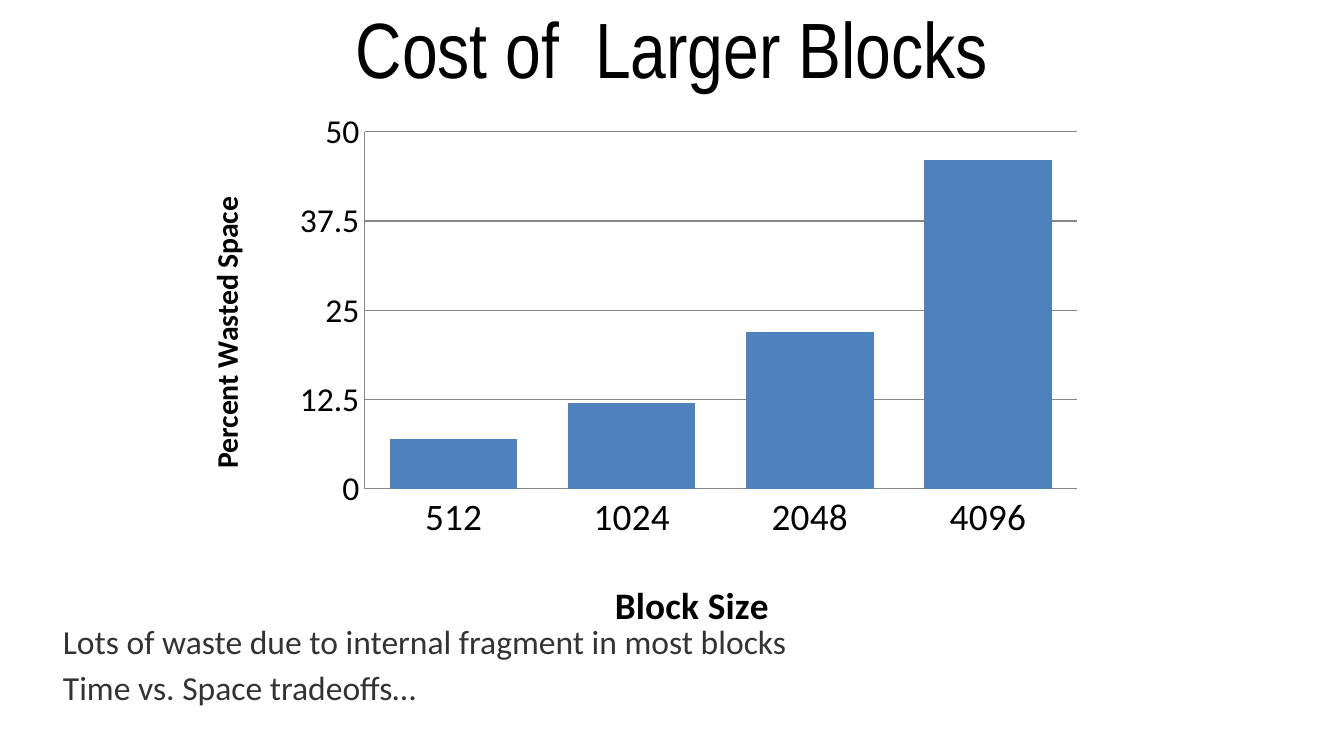
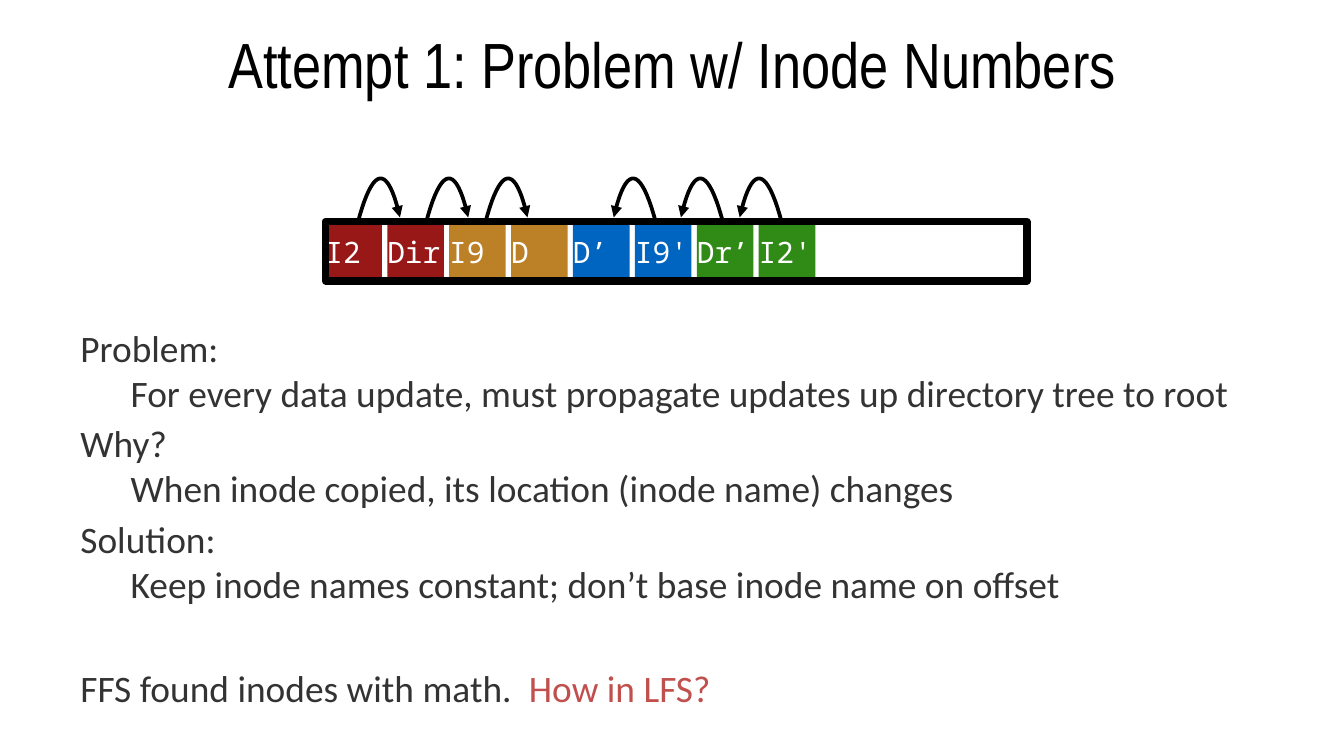
from lxml.etree import SubElement
from pptx import Presentation
from pptx.chart.data import CategoryChartData
from pptx.dml.color import RGBColor
from pptx.enum.chart import XL_CHART_TYPE as ChartType, XL_TICK_MARK as TickMark
from pptx.enum.shapes import MSO_SHAPE as Preset
from pptx.enum.text import MSO_ANCHOR as Anchor, PP_ALIGN as Align
from pptx.oxml import parse_xml
from pptx.oxml.ns import nsdecls, qn
from pptx.util import Cm, Pt

COLORS = {
    "title": "000000",
    "body": "333333",
    "question": "C0504D",
    "bar": "4F81BD",
    "grid": "878787",
    "outline": "000000",
    "cell_text": "FFFFFF",
    "red": "971817",
    "ochre": "BC8027",
    "blue": "0065C1",
    "green": "308B16",
}
TITLE_FONT, BODY_FONT, CODE_FONT = "Arial Narrow", "Calibri", "Noto Sans Mono"
HANGING = Cm(0.95)
PARAGRAPH_GAP = 3.2

LOG_BLOCKS = [
    ("I2", "red"), ("Dir", "red"), ("I9", "ochre"), ("D", "ochre"),
    ("D’", "blue"), ("I9'", "blue"), ("Dr’", "green"), ("I2'", "green"),
]
LOG_LEFT, LOG_TOP, LOG_WIDTH, LOG_HEIGHT = 6.15, 4.19, 13.26, 1.12
BLOCK_PITCH, BLOCK_WIDTH = 1.17, 1.07
FORWARD_ARCS = [6.76, 8.05, 9.17]
BACKWARD_ARCS = [12.4, 13.67, 14.78]
ARC_CURVE = [(0, 4.22), (0.29, 3.12), (0.57, 3.1), (0.8, 4.11)]
ARC_STEPS = 20


def rgb(name):
    return RGBColor.from_string(COLORS[name])


def style_font(font, name, size, color, bold=False):
    font.name, font.size, font.bold = name, Pt(size), bold
    font.color.rgb = rgb(color)


def style_runs(paragraph, name, size, color, bold=False):
    for run in paragraph.runs:
        style_font(run.font, name, size, color, bold)


def add_title(slide, text, top, size):
    box = slide.shapes.add_textbox(Cm(1.27), Cm(top), Cm(22.86), Cm(2.39))
    frame = box.text_frame
    frame.word_wrap = True
    frame.vertical_anchor = Anchor.MIDDLE
    frame.text = text
    heading = frame.paragraphs[0]
    heading.alignment = Align.CENTER
    style_runs(heading, TITLE_FONT, size, "title")


def add_body(slide, lines, left, top, width, height, size):
    """Add hanging-indent paragraphs; a \\v inside a line starts its indented part."""
    box = slide.shapes.add_textbox(Cm(left), Cm(top), Cm(width), Cm(height))
    frame = box.text_frame
    frame.word_wrap = True
    for number, line in enumerate(lines):
        paragraph = frame.add_paragraph() if number else frame.paragraphs[0]
        paragraph.text = line
        properties = paragraph._p.get_or_add_pPr()
        properties.set("marL", str(HANGING))
        properties.set("indent", str(-HANGING))
        if number:
            paragraph.space_before = Pt(PARAGRAPH_GAP)
        style_runs(paragraph, BODY_FONT, size, "body")
    return frame


def set_layout(parent, index, x, y, size=None):
    """Place a chart part by fractions of the chart area."""
    for old in parent.findall(qn("c:layout")):
        parent.remove(old)
    layout = parse_xml(f"<c:layout {nsdecls('c')}><c:manualLayout/></c:layout>")
    settings = {"xMode": "edge", "yMode": "edge", "x": x, "y": y}
    if size:
        settings = {"layoutTarget": "inner", **settings, "w": size[0], "h": size[1]}
    for tag, value in settings.items():
        SubElement(layout[0], qn(f"c:{tag}")).set("val", str(value))
    parent.insert(index, layout)


def style_axis(axis, title, title_size, label_size, title_x, title_y):
    axis.major_tick_mark = axis.minor_tick_mark = TickMark.NONE
    axis.format.line.color.rgb = rgb("grid")
    axis.format.line.width = Pt(0.75)
    style_font(axis.tick_labels.font, BODY_FONT, label_size, "title")
    frame = axis.axis_title.text_frame
    frame.text = title
    style_runs(frame.paragraphs[0], BODY_FONT, title_size, "title", bold=True)
    set_layout(axis.axis_title.element, 1, title_x, title_y)


def add_waste_chart(slide):
    data = CategoryChartData()
    data.categories = ["512", "1024", "2048", "4096"]
    data.add_series("Region 1", [7, 12, 22, 46])
    chart = slide.shapes.add_chart(
        ChartType.COLUMN_CLUSTERED, Cm(3.63), Cm(1.52), Cm(16.74), Cm(10.59), data
    ).chart
    chart.has_title = chart.has_legend = False
    style_font(chart.font, BODY_FONT, 18, "title")

    plot = chart.plots[0]
    plot.gap_width, plot.overlap = 40, -10
    plot.vary_by_categories = False
    bars = plot.series[0].format.fill
    bars.solid()
    bars.fore_color.rgb = rgb("bar")

    sizes, waste = chart.category_axis, chart.value_axis
    style_axis(sizes, "Block Size", 20, 20, 0.47, 0.88)
    style_axis(waste, "Percent Wasted Space", 16, 18, 0.01, 0.2)
    rotation = waste.axis_title.text_frame._txBody.bodyPr
    rotation.set("rot", "-5400000")
    rotation.set("vert", "horz")
    waste.minimum_scale, waste.maximum_scale, waste.major_unit = 0, 50, 12.5
    waste.tick_labels.number_format = "General"
    waste.tick_labels.number_format_is_linked = False
    gridline = waste.major_gridlines.format.line
    gridline.color.rgb = rgb("grid")
    gridline.width = Pt(0.75)
    plot_area = chart.element.find(f".//{qn('c:plotArea')}")
    set_layout(plot_area, 0, 0.195, 0.092, (0.805, 0.639))


def add_log_box(slide, left, width):
    box = slide.shapes.add_shape(
        Preset.RECTANGLE, Cm(left), Cm(LOG_TOP), Cm(width), Cm(LOG_HEIGHT)
    )
    box.shadow.inherit = False
    return box


def add_log_block(slide, left, label, color):
    block = add_log_box(slide, left, BLOCK_WIDTH)
    block.fill.solid()
    block.fill.fore_color.rgb = rgb(color)
    block.line.fill.background()
    frame = block.text_frame
    frame.margin_left = frame.margin_right = frame.margin_top = frame.margin_bottom = 0
    frame.word_wrap = False
    frame.vertical_anchor = Anchor.MIDDLE
    frame.text = label
    frame.paragraphs[0].alignment = Align.LEFT
    style_runs(frame.paragraphs[0], CODE_FONT, 15.8, "cell_text")


def draw_outline(shape, width):
    shape.fill.background()
    shape.line.color.rgb = rgb("outline")
    shape.line.width = Pt(width)


def curve_point(controls, t):
    """Return the point at t on a cubic Bézier curve."""
    weights = [(1 - t) ** 3, 3 * t * (1 - t) ** 2, 3 * t * t * (1 - t), t ** 3]
    return tuple(
        Cm(sum(weight * point[axis] for weight, point in zip(weights, controls)))
        for axis in (0, 1)
    )


def add_pointer_arc(slide, start, direction):
    """Arch from start to the next block; direction is 1 (right) or -1 (left)."""
    controls = [(start + direction * dx, y) for dx, y in ARC_CURVE]
    points = [curve_point(controls, step / ARC_STEPS) for step in range(ARC_STEPS + 1)]
    builder = slide.shapes.build_freeform(*points[0])
    builder.add_line_segments(points[1:], close=False)
    arc = builder.convert_to_shape()
    arc.shadow.inherit = False
    draw_outline(arc, 2)
    SubElement(arc.line._get_or_add_ln(), qn("a:tailEnd")).set("type", "triangle")


def add_log(slide):
    for number, (label, color) in enumerate(LOG_BLOCKS):
        add_log_block(slide, LOG_LEFT + number * BLOCK_PITCH, label, color)
    draw_outline(add_log_box(slide, LOG_LEFT, LOG_WIDTH), 4)
    for direction, starts in ((1, FORWARD_ARCS), (-1, BACKWARD_ARCS)):
        for start in starts:
            add_pointer_arc(slide, start, direction)


def build_block_cost(slide):
    add_title(slide, "Cost of  Larger Blocks", -0.3, 42)
    add_body(slide, [
        "Lots of waste due to internal fragment in most blocks",
        "Time vs. Space tradeoffs…",
    ], 0.94, 11.61, 16.26, 2.6, 18)
    add_waste_chart(slide)


def build_inode_problem(slide):
    add_title(slide, "Attempt 1: Problem w/ Inode Numbers", 0, 34.2)
    frame = add_body(slide, [
        "Problem: \vFor every data update, must propagate updates up directory tree to root",
        "Why? \vWhen inode copied, its location (inode name) changes",
        "Solution: \vKeep inode names constant; don’t base inode name on offset",
        "FFS found inodes with math.  ",
    ], 1.27, 6.02, 23.5, 7.87, 20)
    closing = frame.paragraphs[-1]
    closing.space_before = Pt(32)
    question = closing.add_run()
    question.text = "How in LFS?"
    style_font(question.font, BODY_FONT, 20, "question")
    add_log(slide)


def main():
    deck = Presentation()
    deck.slide_width, deck.slide_height = Cm(25.4), Cm(14.29)
    blank = deck.slide_layouts[6]
    for build in (build_block_cost, build_inode_problem):
        build(deck.slides.add_slide(blank))
    deck.save("out.pptx")


if __name__ == "__main__":
    main()
